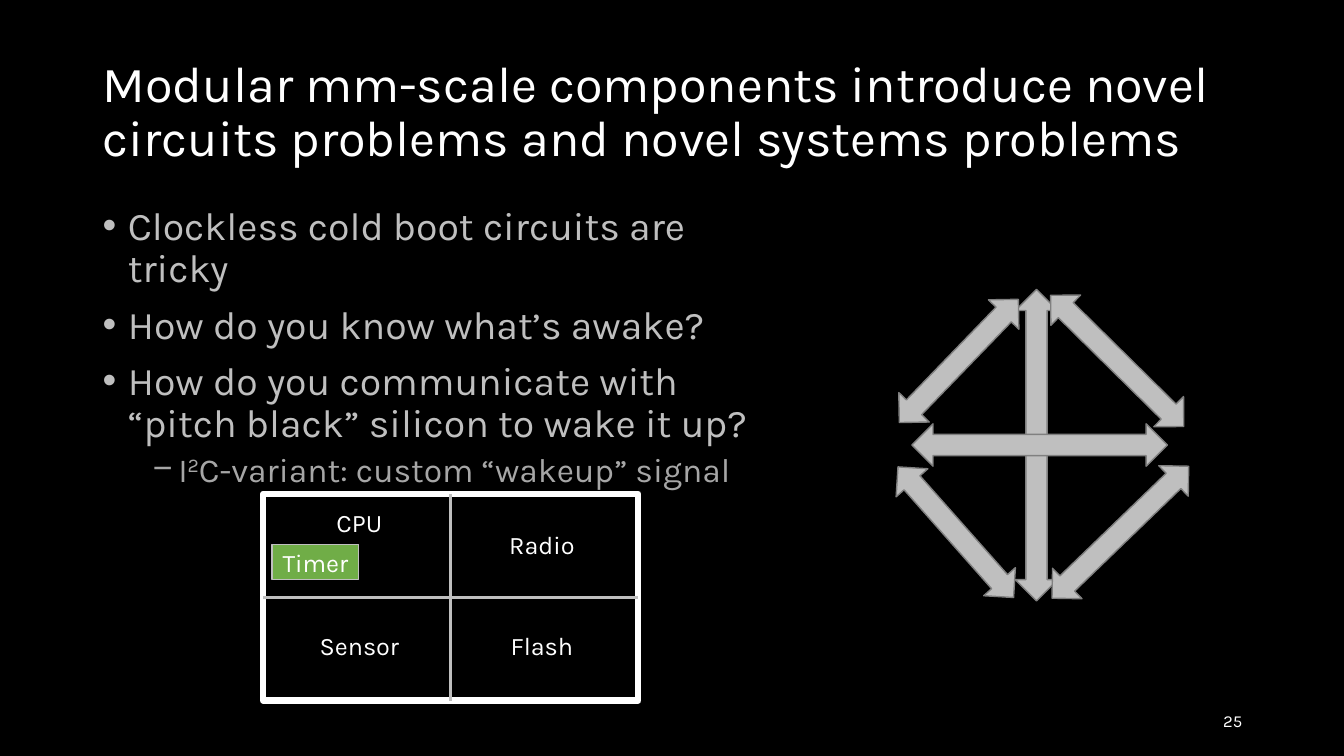
from dataclasses import dataclass

from lxml.etree import SubElement
from pptx import Presentation
from pptx.dml.color import RGBColor
from pptx.enum.shapes import MSO_CONNECTOR, MSO_SHAPE
from pptx.enum.text import MSO_ANCHOR, PP_ALIGN
from pptx.oxml.ns import qn
from pptx.util import Inches, Pt


@dataclass(frozen=True)
class Theme:
    font: str = "Karla"
    background: str = "000000"
    text: str = "FFFFFF"
    bullet: str = "BFBFBF"
    sub_bullet: str = "A6A6A6"
    rule: str = "BFBFBF"
    arrow_edge: str = "808080"
    timer: str = "70AD47"
    title_size: int = 36
    bullet_size: int = 28
    sub_size: int = 24
    label_size: int = 18
    number_size: int = 12


@dataclass(frozen=True)
class Box:
    left: float
    top: float
    width: float
    height: float

    def inches(self):
        return [Inches(v) for v in (self.left, self.top, self.width, self.height)]

    def share(self, x, y, width, height):
        """Box at the given shares of this one."""
        return Box(self.left + x * self.width, self.top + y * self.height,
                   width * self.width, height * self.height)


THEME = Theme()
SLIDE = Box(0, 0, 13.33, 7.5)
TITLE = Box(0.92, 0.4, 11.5, 1.45)
BODY = Box(0.92, 2, 6.93, 4.76)
CHIP = Box(2.61, 4.9, 3.72, 2.05)
BUS = Box(8.74, 2.87, 3.08, 3.09)
NUMBER = Box(9.42, 6.95, 3, 0.4)

POINTS = [
    (0, ["Clockless cold boot circuits are tricky"]),
    (0, ["How do you know what’s awake?"]),
    (0, ["How do you communicate with “pitch black” silicon to wake it up?"]),
    (1, ["I", "2", "C-variant: custom “wakeup” signal"]),
]
MODULES = [["CPU", "Radio"], ["Sensor", "Flash"]]
ARROW_WIDTH = 0.42
# centre across, centre down, length (shares of the bus box), rotation
ARROWS = [
    (0.5, 0.5, 1, 0),
    (0.51, 0.5, 0.82, 270),
    (0.25, 0.23, 0.55, 44),
    (0.24, 0.78, 0.56, 138.5),
    (0.76, 0.23, 0.6, 134.6),
    (0.77, 0.78, 0.61, 46),
]


def color(value):
    return RGBColor.from_string(value)


def style(para, size, tint=THEME.text):
    for span in para.runs:
        span.font.name = THEME.font
        span.font.size = Pt(size)
        span.font.color.rgb = color(tint)


def add_text(page, box, text, size, align=PP_ALIGN.LEFT):
    frame = page.shapes.add_textbox(*box.inches()).text_frame
    frame.word_wrap = True
    frame.vertical_anchor = MSO_ANCHOR.MIDDLE
    frame.text = text
    para = frame.paragraphs[0]
    para.alignment = align
    style(para, size)
    return para


def add_block(page, box, fill=None, line=None, weight=1, label="",
              kind=MSO_SHAPE.RECTANGLE):
    block = page.shapes.add_shape(kind, *box.inches())
    block.shadow.inherit = False
    if fill:
        block.fill.solid()
        block.fill.fore_color.rgb = color(fill)
    else:
        block.fill.background()
    if line:
        block.line.color.rgb = color(line)
        block.line.width = Pt(weight)
    else:
        block.line.fill.background()
    if label:
        frame = block.text_frame
        frame.text = label
        frame.vertical_anchor = MSO_ANCHOR.MIDDLE
        frame.paragraphs[0].alignment = PP_ALIGN.CENTER
        style(frame.paragraphs[0], THEME.label_size)
    return block


def add_title(page, box):
    para = add_text(page, box, "Modular mm-scale components introduce novel "
                    "circuits problems and novel systems problems", THEME.title_size)
    para.line_spacing = 0.9


def add_points(page, box):
    frame = page.shapes.add_textbox(*box.inches()).text_frame
    frame.word_wrap = True
    for index, (level, pieces) in enumerate(POINTS):
        para = frame.paragraphs[0] if index == 0 else frame.add_paragraph()
        para.level = level
        para.line_spacing = 0.9
        para.space_before = Pt(0 if index == 0 else 5 if level else 10)
        properties = para._p.get_or_add_pPr()
        properties.set("marL", str(Inches(0.75 if level else 0.25)))
        properties.set("indent", str(Inches(-0.25)))
        SubElement(properties, qn("a:buFont")).set("typeface", THEME.font if level else "Arial")
        SubElement(properties, qn("a:buChar")).set("char", "‒" if level else "•")
        for piece in pieces:
            para.add_run().text = piece
        if level:
            style(para, THEME.sub_size, THEME.sub_bullet)
            para.runs[1].font._element.set("baseline", "30000")
        else:
            style(para, THEME.bullet_size, THEME.bullet)


def add_divider(page, frame, begin_side, end_side):
    divider = page.shapes.add_connector(MSO_CONNECTOR.STRAIGHT, 0, 0, 0, 0)
    divider.begin_connect(frame, begin_side)
    divider.end_connect(frame, end_side)
    divider.line.color.rgb = color(THEME.rule)
    divider.line.width = Pt(2)
    SubElement(divider._element.spPr, qn("a:effectLst"))


def add_chip(page, box):
    margin = 0.05
    width, height = box.width / 2 - margin, (box.height - margin) / 2
    for row, names in enumerate(MODULES):
        for column, name in enumerate(names):
            cell = Box(box.left + margin + column * width, box.top + row * height,
                       width, height)
            block = add_block(page, cell, THEME.background, label=name)
            if name == "CPU":
                block.text_frame.vertical_anchor = MSO_ANCHOR.TOP
                block.text_frame.margin_top = Inches(0.13)
    frame = add_block(page, box, line=THEME.text, weight=4.5)
    timer = add_block(page, box.share(0.024, 0.244, 0.231, 0.171), THEME.timer,
                      THEME.rule, label="Timer")
    timer.text_frame.word_wrap = False
    add_divider(page, frame, 1, 3)
    add_divider(page, frame, 0, 2)


def add_bus(page, box):
    for across, down, length, rotation in ARROWS:
        reach = length * box.height
        arrow = Box(box.left + across * box.width - ARROW_WIDTH / 2,
                    box.top + down * box.height - reach / 2, ARROW_WIDTH, reach)
        add_block(page, arrow, THEME.rule, THEME.arrow_edge,
                  kind=MSO_SHAPE.UP_DOWN_ARROW).rotation = rotation


def main():
    deck = Presentation()
    deck.slide_width, deck.slide_height = Inches(SLIDE.width), Inches(SLIDE.height)
    page = deck.slides.add_slide(deck.slide_layouts[6])
    page.background.fill.solid()
    page.background.fill.fore_color.rgb = color(THEME.background)
    add_text(page, NUMBER, "25", THEME.number_size, PP_ALIGN.RIGHT)
    add_title(page, TITLE)
    add_chip(page, CHIP)
    add_points(page, BODY)
    add_bus(page, BUS)
    deck.save("out.pptx")


if __name__ == "__main__":
    main()
